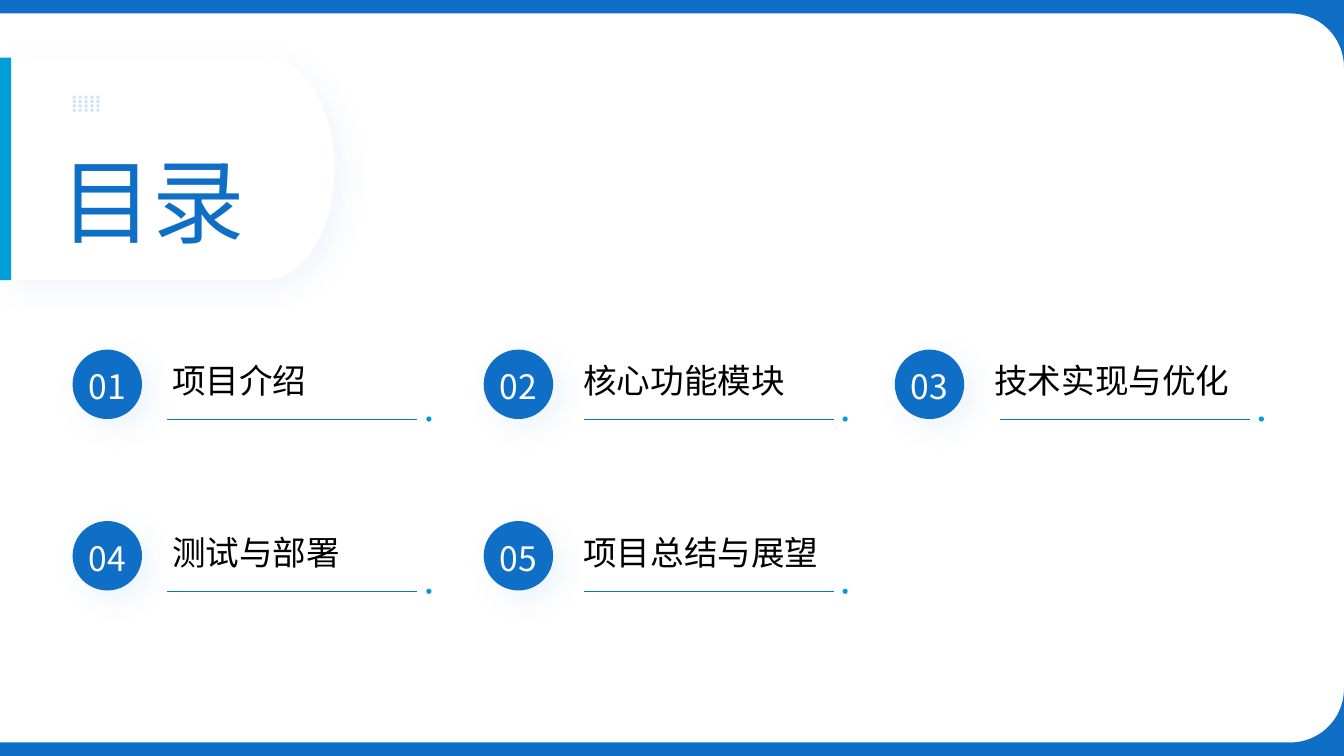
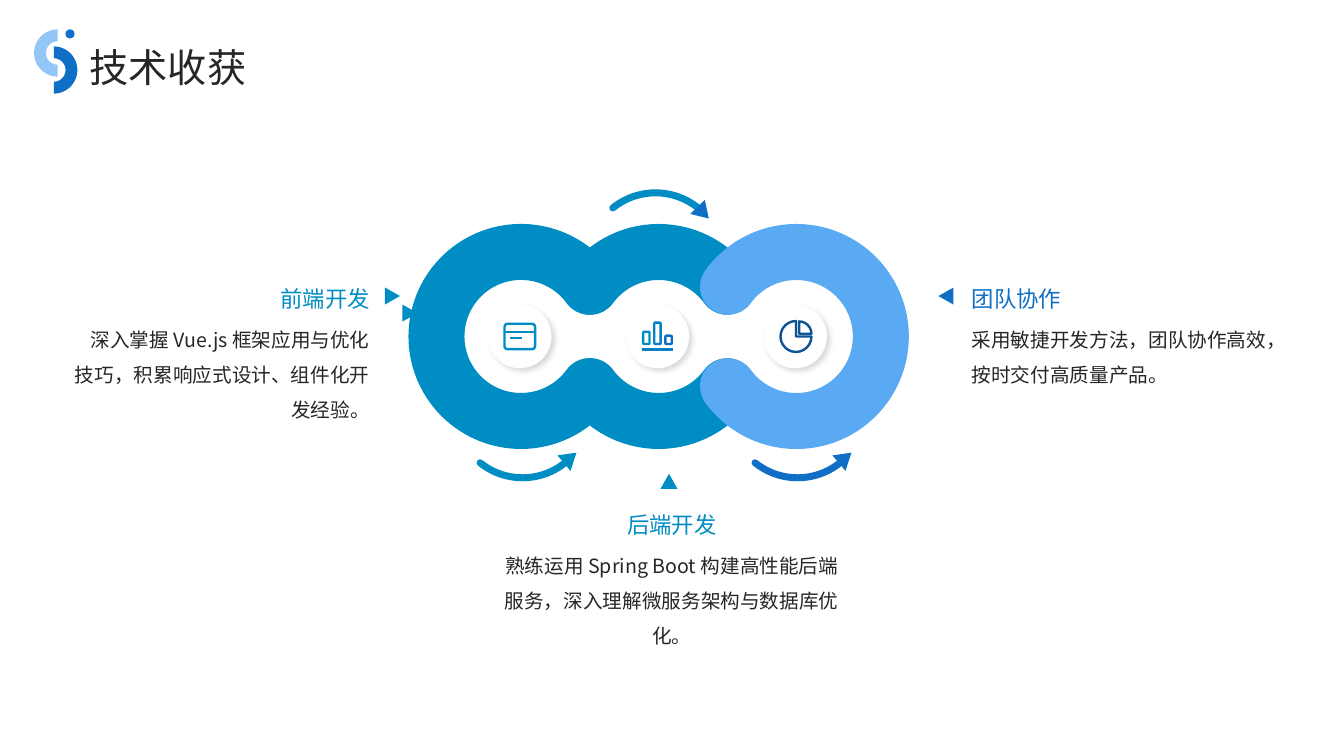
from dataclasses import dataclass
from itertools import product
from math import cos, radians, sin

from lxml.etree import SubElement
from pptx import Presentation
from pptx.dml.color import RGBColor
from pptx.enum.shapes import MSO_CONNECTOR, MSO_SHAPE as Preset
from pptx.enum.text import MSO_ANCHOR as Anchor, MSO_AUTO_SIZE, PP_ALIGN as Align
from pptx.oxml.ns import qn
from pptx.util import Cm, Pt


@dataclass(frozen=True)
class Theme:
    font: str = "Noto Sans CJK SC"
    blue: str = "0F6FC6"
    cyan: str = "009DD9"
    teal: str = "008DC3"
    teal_blue: str = "087EC5"
    sky: str = "59AAF2"
    pale: str = "91C6F7"
    navy: str = "0B5394"
    white: str = "FFFFFF"
    black: str = "000000"
    ink: str = "262626"
    cover_size: int = 66
    title_size: int = 28
    agenda_size: int = 24
    heading_size: int = 16
    body_size: int = 14
    hairline: float = 0.75
    icon_line: float = 1.7
    flow_line: float = 5
    ring_line: float = 40


THEME = Theme()
SLIDE_WIDTH, SLIDE_HEIGHT = 33.87, 19.05
# Colour, opacity %, blur pt, distance pt
PANEL_SHADOW = (THEME.blue, 6, 22, 9)
NUMBER_SHADOW = (THEME.blue, 8, 22, 9)
BADGE_SHADOW = (THEME.black, 15, 4, 3)

AGENDA_TITLE = "目录"
AGENDA = ["项目介绍", "核心功能模块", "技术实现与优化", "测试与部署", "项目总结与展望"]
AGENDA_COLUMNS = 3

GAINS_TITLE = "技术收获"
# Heading, body, colour, alignment, left, top, width
GAINS = [
    ("前端开发", "深入掌握 Vue.js 框架应用与优化技巧，积累响应式设计、组件化开发经验。",
     THEME.teal, Align.RIGHT, 1.82, 6.4, 7.5),
    ("后端开发", "熟练运用 Spring Boot 构建高性能后端服务，深入理解微服务架构与数据库优化。",
     THEME.teal, Align.CENTER, 12.5, 12.09, 8.86),
    ("团队协作", "采用敏捷开发方法，团队协作高效，按时交付高质量产品。",
     THEME.blue, Align.LEFT, 24.49, 6.4, 7.5),
]
# Centre x, centre y, rotation, colour
POINTERS = [
    (9.89, 7.46, 90, THEME.teal),
    (10.33, 7.89, 90, THEME.teal),
    (16.86, 12.13, 0, THEME.teal),
    (23.84, 7.46, 270, THEME.blue),
]
RING_Y, RING_RADIUS = 8.48, 2.13
RING_XS = [13.13 + 3.47 * index for index in range(3)]
# Ring index, start angle, end angle (clockwise from the right), colour
RING_ARCS = [
    (0, 36, 324, THEME.teal),
    (1, 216, 324, THEME.teal),
    (1, 36, 144, THEME.teal),
    (2, 216, 144, THEME.sky),
]
# Centre x, centre y, start, end, side (-1 over, 1 under), head turn, colours
FLOWS = [
    (16.52, 6.57, 231, 307.7, -1, 136, THEME.teal, THEME.blue),
    (13.17, 10.33, 52.1, 128.8, 1, 50, THEME.teal, THEME.teal),
    (20.1, 10.33, 52.1, 128.8, 1, 50, THEME.blue, THEME.blue),
]
# Offset from the icon centre, height, colour
ICON_BARS = [(-0.28, 0.31, THEME.teal), (0, 0.54, THEME.teal_blue), (0.28, 0.21, THEME.blue)]


def color(value):
    return RGBColor.from_string(value)


def add_shadow(shape, shadow):
    value, opacity, blur, distance = shadow
    effects = shape._element.spPr.find(qn("a:effectLst"))
    outer = SubElement(effects, qn("a:outerShdw"), blurRad=str(Pt(blur)),
                       dist=str(Pt(distance)), dir="2700000", algn="tl", rotWithShape="0")
    paint = SubElement(outer, qn("a:srgbClr"), val=value)
    SubElement(paint, qn("a:alpha"), val=str(opacity * 1000))


def style_shape(shape, fill=None, line=None, line_width=1.0, shadow=None):
    shape.shadow.inherit = False
    if fill:
        shape.fill.solid()
        shape.fill.fore_color.rgb = color(fill)
    else:
        shape.fill.background()
    if line:
        shape.line.color.rgb = color(line)
        shape.line.width = Pt(line_width)
    else:
        shape.line.fill.background()
    if shadow:
        add_shadow(shape, shadow)
    return shape


def add_preset(slide, preset, left, top, width, height, rotation=0, **style):
    shape = slide.shapes.add_shape(preset, Cm(left), Cm(top), Cm(width), Cm(height))
    shape.rotation = rotation
    return style_shape(shape, **style)


def add_centered(slide, preset, x, y, width, height, **style):
    return add_preset(slide, preset, x - width / 2, y - height / 2, width, height, **style)


def add_sector(slide, preset, x, y, radius, start, end, line, line_width):
    """Draw an arc or pie running clockwise between two angles in degrees."""
    shape = add_centered(slide, preset, x, y, 2 * radius, 2 * radius,
                         line=line, line_width=line_width)
    shape.adjustments[0], shape.adjustments[1] = start * 0.6, end * 0.6
    return shape


def add_round_arc(*args):
    shape = add_sector(*args)
    shape.line._get_or_add_ln().set("cap", "rnd")


def add_line(slide, x1, x2, y, line, line_width):
    connector = slide.shapes.add_connector(MSO_CONNECTOR.STRAIGHT, Cm(x1), Cm(y), Cm(x2), Cm(y))
    connector.line.color.rgb = color(line)
    connector.line.width = Pt(line_width)
    SubElement(connector._element.spPr, qn("a:effectLst"))


def curve(x, y, radius_x, radius_y, start, end, steps=24):
    angles = [radians(start + (end - start) * step / steps) for step in range(steps + 1)]
    return [(x + radius_x * cos(angle), y + radius_y * sin(angle)) for angle in angles]


def add_outline(slide, contours, **style):
    builder = None
    for contour in contours:
        first, *rest = [(Cm(x), Cm(y)) for x, y in contour]
        if builder is None:
            builder = slide.shapes.build_freeform(*first)
        else:
            builder.move_to(*first)
        builder.add_line_segments(rest, close=True)
    return style_shape(builder.convert_to_shape(), **style)


def write(shape, text, size, value, align=Align.LEFT, spacing=1.1, anchor=Anchor.TOP):
    frame = shape.text_frame
    frame.margin_left = frame.margin_right = frame.margin_top = frame.margin_bottom = 0
    frame.word_wrap = True
    frame.auto_size = MSO_AUTO_SIZE.NONE
    frame.vertical_anchor = anchor
    frame.text = text
    paragraph = frame.paragraphs[0]
    paragraph.alignment = align
    paragraph.line_spacing = spacing
    paragraph.space_before = Pt(0)
    paragraph.font.size = Pt(size)
    paragraph.font.color.rgb = color(value)
    paragraph.font.name = THEME.font
    defaults = paragraph._p.pPr.find(qn("a:defRPr"))
    SubElement(defaults, qn("a:ea"), typeface=THEME.font)


def add_text(slide, left, top, width, height, *args, **style):
    write(slide.shapes.add_textbox(Cm(left), Cm(top), Cm(width), Cm(height)), *args, **style)


def place_title(slide, left, top, width, height, *args, **style):
    """Move the title placeholder into place, in front of what is drawn so far."""
    title = slide.shapes.title
    title.left, title.top, title.width, title.height = Cm(left), Cm(top), Cm(width), Cm(height)
    write(title, *args, **style)
    slide.shapes._spTree.append(title._element)


def add_frame(slide):
    band, radius = 0.34, 1.35
    corner_y = band + radius
    top = [(0, 0), (SLIDE_WIDTH, 0),
           *curve(SLIDE_WIDTH - radius, corner_y, radius, radius, 0, -90), (0, band)]
    bottom = [(x, SLIDE_HEIGHT - y) for x, y in top]
    add_outline(slide, [top, bottom], fill=THEME.blue)


def add_title_panel(slide):
    top, height = 1.45, 5.61
    edge = curve(6.68, top + height / 2, 1.75, height / 2, -90, 90)
    add_outline(slide, [[(0, top), *edge, (0, top + height)]],
                fill=THEME.white, shadow=PANEL_SHADOW)
    add_preset(slide, Preset.RECTANGLE, 0, top, 0.28, height, fill=THEME.cyan)
    place_title(slide, 1.4, 3.35, 4.9, 2.57, AGENDA_TITLE, THEME.cover_size,
                THEME.blue, align=Align.CENTER)
    for row, column in product(range(4), range(5)):
        dot = add_preset(slide, Preset.OVAL, 1.83 + 0.15 * column, 2.41 + 0.11 * row,
                         0.08, 0.08, fill=THEME.blue)
        paint = dot._element.spPr.find(qn("a:solidFill"))[0]
        SubElement(paint, qn("a:alpha"), val="20000")


def build_agenda(slide):
    add_frame(slide)
    add_title_panel(slide)
    for index, label in enumerate(AGENDA):
        row, column = divmod(index, AGENDA_COLUMNS)
        shift_x, shift_y = 10.36 * column, 4.32 * row
        number = add_preset(slide, Preset.OVAL, 1.83 + shift_x, 8.81 + shift_y, 1.75, 1.75,
                            fill=THEME.blue, shadow=NUMBER_SHADOW)
        write(number, f"{index + 1:02}", THEME.agenda_size, THEME.white,
              align=Align.CENTER, anchor=Anchor.MIDDLE)
        add_text(slide, 4.34 + shift_x, 8.66 + shift_y, 6.93, 1.75, label,
                 THEME.agenda_size, THEME.black, anchor=Anchor.MIDDLE)
        line_x, line_y = 4.22 + 10.49 * column, 10.56 + 4.34 * row
        add_line(slide, line_x, line_x + 6.3, line_y, THEME.blue, THEME.hairline)
        add_centered(slide, Preset.OVAL, line_x + 6.59, line_y, 0.13, 0.13, fill=THEME.cyan)


def add_card_icon(slide, x, y):
    pen = (THEME.teal, THEME.icon_line)
    card = add_centered(slide, Preset.ROUNDED_RECTANGLE, x, y, 0.77, 0.64,
                        line=THEME.teal, line_width=THEME.icon_line)
    card.adjustments[0] = 0.12
    add_line(slide, x - 0.38, x + 0.38, y - 0.12, *pen)
    add_line(slide, x - 0.25, x + 0.05, y + 0.03, *pen)


def add_bars_icon(slide, x, y):
    for offset, height, value in ICON_BARS:
        add_preset(slide, Preset.ROUNDED_RECTANGLE, x + offset - 0.08, y + 0.19 - height,
                   0.16, height, line=value, line_width=THEME.icon_line)
    add_line(slide, x - 0.4, x + 0.4, y + 0.33, THEME.teal_blue, THEME.icon_line)


def add_pie_icon(slide, x, y):
    pen = (THEME.navy, THEME.icon_line)
    add_sector(slide, Preset.PIE, x + 0.02, y, 0.39, 0, 270, *pen)
    add_sector(slide, Preset.PIE, x + 0.1, y - 0.07, 0.31, 270, 0, *pen)


def add_title_mark(slide):
    add_preset(slide, Preset.BLOCK_ARC, 0.86, 0.74, 1.19, 1.19, rotation=270, fill=THEME.pale)
    add_preset(slide, Preset.BLOCK_ARC, 0.76, 1.17, 1.19, 1.19, rotation=90, fill=THEME.blue)
    add_preset(slide, Preset.OVAL, 1.65, 0.74, 0.23, 0.23, fill=THEME.blue)


def build_gains(slide):
    add_title_mark(slide)
    place_title(slide, 2.26, 0.74, 28.83, 1.5, GAINS_TITLE, THEME.title_size,
                THEME.ink, spacing=1.3)
    for heading, body, value, align, left, top, width in GAINS:
        add_text(slide, left, top, width, 1.47, heading, THEME.heading_size, value,
                 align=align, anchor=Anchor.BOTTOM)
        add_text(slide, left, top + 1.56, width, 4.1, body, THEME.body_size, THEME.ink,
                 align=align, spacing=1.5)
    for x, y, rotation, value in POINTERS:
        add_centered(slide, Preset.ISOSCELES_TRIANGLE, x, y, 0.43, 0.38,
                     rotation=rotation, fill=value)
    for index, start, end, value in RING_ARCS:
        add_round_arc(slide, Preset.ARC, RING_XS[index], RING_Y, RING_RADIUS,
                      start, end, value, THEME.ring_line)
    for x, y, start, end, side, turn, arc_color, head_color in FLOWS:
        add_round_arc(slide, Preset.ARC, x, y, 1.71, start, end, arc_color, THEME.flow_line)
        add_centered(slide, Preset.ISOSCELES_TRIANGLE, x + 1.2, y + 1.21 * side, 0.51, 0.41,
                     rotation=turn, fill=head_color)
    for ring_x, add_icon in zip(RING_XS, (add_card_icon, add_bars_icon, add_pie_icon)):
        x = ring_x - 0.03
        add_centered(slide, Preset.OVAL, x, RING_Y, 1.6, 1.6,
                     fill=THEME.white, shadow=BADGE_SHADOW)
        add_icon(slide, x, RING_Y)


def main():
    presentation = Presentation()
    presentation.slide_width, presentation.slide_height = Cm(SLIDE_WIDTH), Cm(SLIDE_HEIGHT)
    title_only = presentation.slide_layouts[5]
    for build in (build_agenda, build_gains):
        build(presentation.slides.add_slide(title_only))
    presentation.save("out.pptx")


if __name__ == "__main__":
    main()
